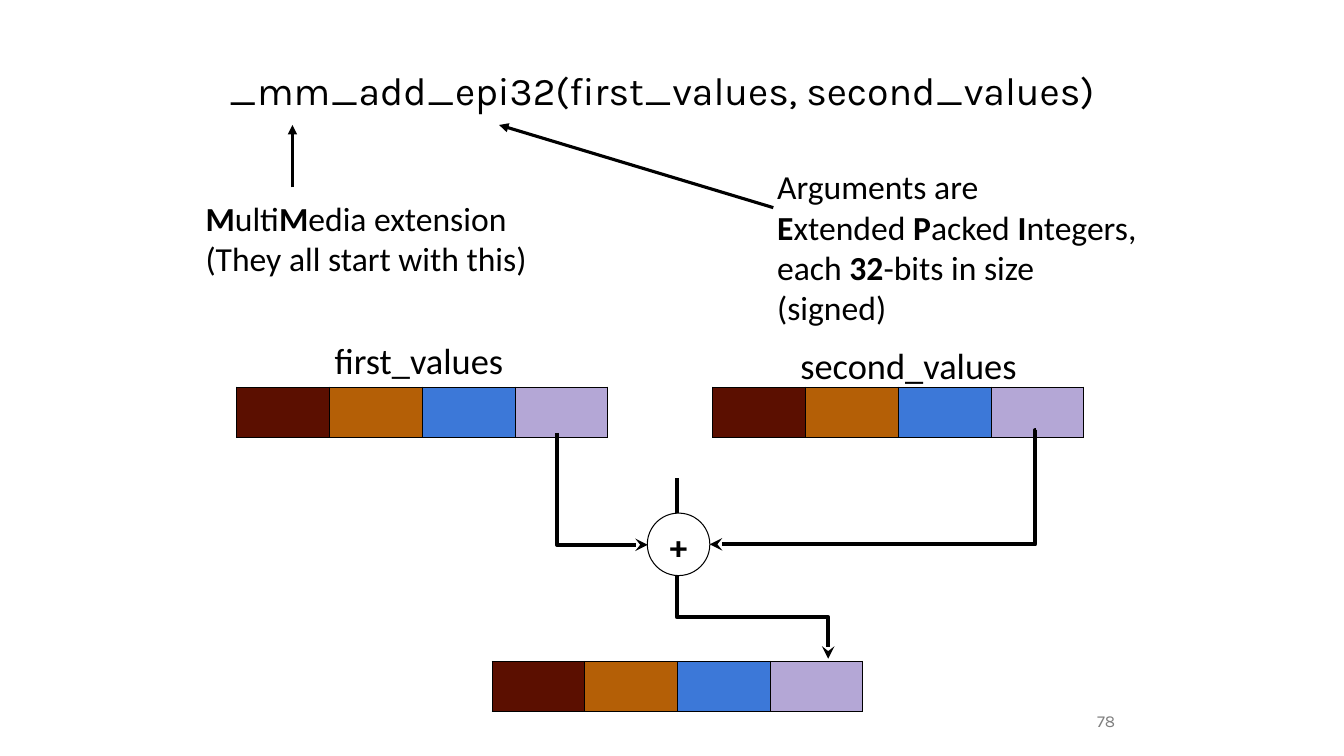
"""Build the slide that explains the name of the _mm_add_epi32 intrinsic."""
from dataclasses import dataclass

from lxml.etree import SubElement
from pptx import Presentation
from pptx.dml.color import RGBColor
from pptx.enum.shapes import MSO_CONNECTOR, MSO_SHAPE
from pptx.enum.text import MSO_ANCHOR, PP_ALIGN
from pptx.oxml.ns import qn
from pptx.slide import Slide
from pptx.text.text import TextFrame
from pptx.util import Inches, Pt

BLACK = RGBColor(0x00, 0x00, 0x00)
WHITE = RGBColor(0xFF, 0xFF, 0xFF)
GREY = RGBColor(0x80, 0x80, 0x80)
MAROON = RGBColor(0x5B, 0x0F, 0x00)
ORANGE = RGBColor(0xB4, 0x5F, 0x06)
BLUE = RGBColor(0x3C, 0x78, 0xD8)
LILAC = RGBColor(0xB4, 0xA7, 0xD6)
LANES = (MAROON, ORANGE, BLUE, LILAC)
LANE_WIDTH, LANE_HEIGHT = 0.92, 0.5


@dataclass(frozen=True)
class Label:
    """Text box; asterisks enclose the bold parts of its text."""
    text: str
    box: tuple[float, float, float, float]
    size: float
    font: str = "Calibri"
    color: RGBColor = BLACK
    anchor: MSO_ANCHOR = MSO_ANCHOR.TOP
    align: PP_ALIGN = PP_ALIGN.LEFT
    line_spacing: float = 1.0


@dataclass(frozen=True)
class Arrow:
    """Arrow with its unrotated end points."""
    begin: tuple[float, float]
    end: tuple[float, float]
    width: float = 3
    head: str = "stealth"
    preset: str = "bentConnector3"
    rotation: int = 0
    bend: float | None = None


LABELS = (
    Label("_mm_add_epi32(first_values, second_values)", (2.17, 0.3, 9, 1.25), 28,
          "Karla", anchor=MSO_ANCHOR.MIDDLE, line_spacing=0.9),
    Label("78", (8.83, 6.95, 2.33, 0.4), 12, "Karla", GREY,
          MSO_ANCHOR.MIDDLE, PP_ALIGN.RIGHT),
    Label("*M*ulti*M*edia extension\n(They all start with this)",
          (1.94, 1.86, 3.48, 1.79), 24),
    Label("Arguments are\n*E*xtended *P*acked *I*ntegers,\n"
          "each *32*-bits in size\n(signed)", (7.61, 1.55, 3.79, 1.79), 24),
    Label("first_values", (3.22, 3.25, 1.94, 0.4), 26),
    Label("second_values", (7.84, 3.3, 2.53, 0.4), 26),
)
VECTORS = ((2.35, 3.84), (7.07, 3.84), (4.88, 6.56))
RESULT_ARROW = Arrow((8.36, 4.89), (6.57, 6.39), rotation=270, bend=0.77)
FRONT_ARROWS = (
    Arrow((2.9, 1.86), (2.9, 1.24), 2.25, "triangle", "line"),
    Arrow((7.67, 2.06), (4.95, 1.24), 2.25, "triangle", "line"),
    Arrow((6.53, 4.4), (5.42, 5.3), preset="bentConnector2", rotation=270),
    Arrow((10.28, 4.27), (7.04, 5.4), bend=0.004),
)


def set_margins(frame: TextFrame) -> None:
    """Give a text frame equal insets on all sides."""
    frame.margin_left = frame.margin_right = Inches(0.1)
    frame.margin_top = frame.margin_bottom = Inches(0.1)


def draw_label(slide: Slide, label: Label) -> None:
    """Draw a text box with its bold parts."""
    frame = slide.shapes.add_textbox(*map(Inches, label.box)).text_frame
    frame.word_wrap = True
    set_margins(frame)
    frame.vertical_anchor = label.anchor
    paragraph = frame.paragraphs[0]
    paragraph.alignment = label.align
    paragraph.line_spacing = label.line_spacing
    for row, line in enumerate(label.text.split("\n")):
        if row:
            paragraph.add_line_break()
        for index, part in enumerate(line.split("*")):
            if part:
                run = paragraph.add_run()
                run.text = part
                run.font.name = label.font
                run.font.size = Pt(label.size)
                run.font.bold = index % 2 == 1
                run.font.color.rgb = label.color


def draw_vector(slide: Slide, left: float, top: float) -> None:
    """Draw a four-lane vector as a one-row table with thin borders."""
    vector = slide.shapes.add_table(
        1, len(LANES), Inches(left), Inches(top),
        Inches(LANE_WIDTH * len(LANES)), Inches(LANE_HEIGHT)).table
    vector.first_row = vector.horz_banding = False
    for column, color in enumerate(LANES):
        lane = vector.cell(0, column)
        properties = lane._tc.get_or_add_tcPr()
        for side in ("a:lnL", "a:lnR", "a:lnT", "a:lnB"):
            border = SubElement(properties, qn(side), w=str(Pt(0.75)))
            fill = SubElement(border, qn("a:solidFill"))
            SubElement(fill, qn("a:srgbClr"), val=str(BLACK))
        lane.fill.solid()
        lane.fill.fore_color.rgb = color


def draw_arrow(slide: Slide, arrow: Arrow) -> None:
    """Draw a straight or bent connector with an arrowhead at its end."""
    kind = MSO_CONNECTOR.STRAIGHT if arrow.preset == "line" else MSO_CONNECTOR.ELBOW
    connector = slide.shapes.add_connector(
        kind, *map(Inches, arrow.begin + arrow.end))
    connector.line.color.rgb = BLACK
    connector.line.width = Pt(arrow.width)
    properties = connector._element.spPr
    geometry = properties.find(qn("a:prstGeom"))
    geometry.set("prst", arrow.preset)
    if arrow.rotation:
        properties.find(qn("a:xfrm")).set("rot", str(arrow.rotation * 60000))
    if arrow.bend is not None:
        SubElement(geometry.find(qn("a:avLst")), qn("a:gd"), name="adj1",
                   fmla=f"val {round(arrow.bend * 100000)}")
    outline = properties.find(qn("a:ln"))
    SubElement(outline, qn("a:round"))
    SubElement(outline, qn("a:tailEnd"), type=arrow.head)
    SubElement(properties, qn("a:effectLst"))


def draw_adder(slide: Slide) -> None:
    """Draw the circle with the plus sign."""
    adder = slide.shapes.add_shape(
        MSO_SHAPE.OVAL, *map(Inches, (6.42, 5.09, 0.62, 0.62)))
    adder.shadow.inherit = False
    adder.fill.solid()
    adder.fill.fore_color.rgb = WHITE
    adder.line.color.rgb = BLACK
    adder.line.width = Pt(0.75)
    frame = adder.text_frame
    set_margins(frame)
    frame.vertical_anchor = MSO_ANCHOR.MIDDLE
    frame.text = "+"
    frame.paragraphs[0].alignment = PP_ALIGN.CENTER
    font = frame.paragraphs[0].runs[0].font
    font.name, font.size, font.bold = "Karla", Pt(23), True
    font.color.rgb = BLACK


def main() -> None:
    """Assemble and save the slide."""
    presentation = Presentation()
    presentation.slide_width = Inches(13.33)
    presentation.slide_height = Inches(7.5)
    slide = presentation.slides.add_slide(presentation.slide_layouts[6])
    draw_arrow(slide, RESULT_ARROW)
    for label in LABELS:
        draw_label(slide, label)
    for left, top in VECTORS:
        draw_vector(slide, left, top)
    draw_adder(slide)
    for arrow in FRONT_ARROWS:
        draw_arrow(slide, arrow)
    presentation.save("out.pptx")


if __name__ == "__main__":
    main()
